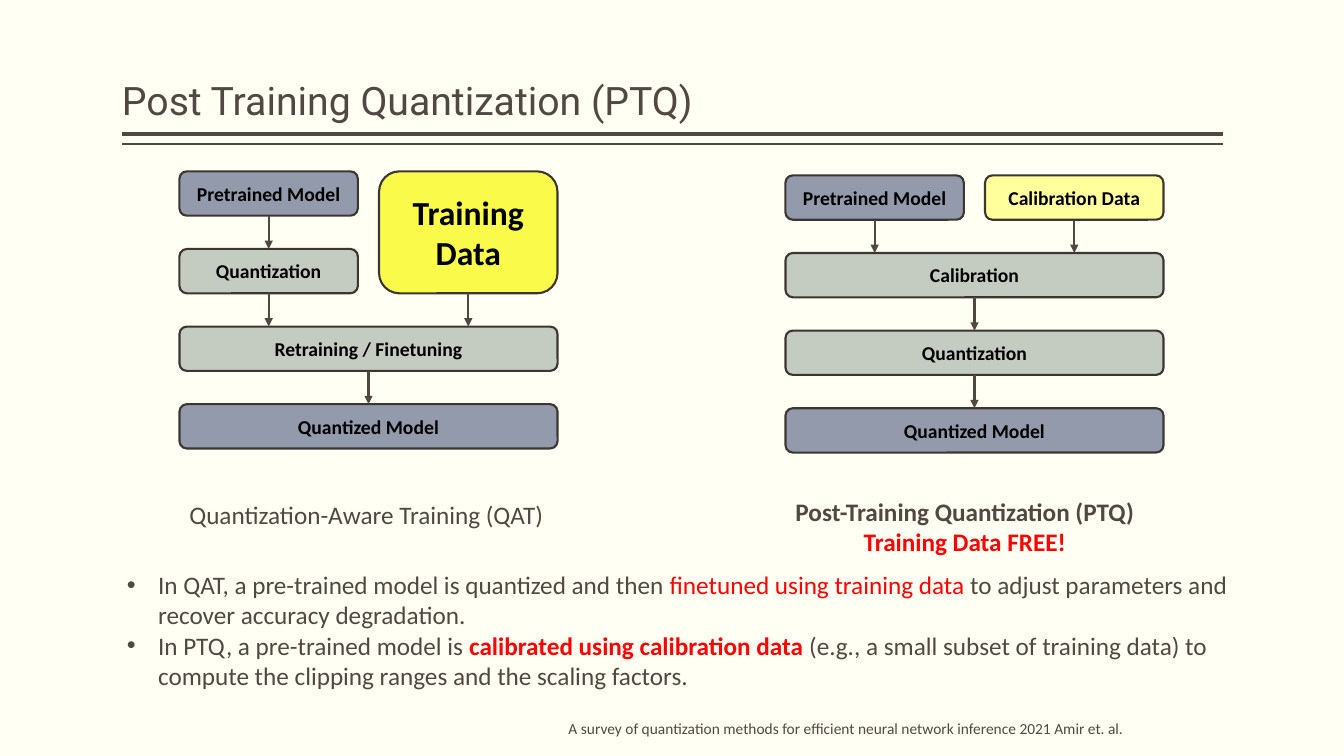
import pptx
import pptx.dml.color
import pptx.enum.shapes
import pptx.enum.text
import pptx.oxml
import pptx.oxml.ns
import pptx.util
from lxml import etree

Inches = pptx.util.Inches
Pt = pptx.util.Pt
RGBColor = pptx.dml.color.RGBColor
Align = pptx.enum.text.PP_ALIGN
Anchor = pptx.enum.text.MSO_ANCHOR
qn = pptx.oxml.ns.qn

CREAM = RGBColor(0xFF, 0xFF, 0xF3)
BROWN = RGBColor(0x51, 0x48, 0x43)
EDGE = RGBColor(0x3C, 0x35, 0x32)
BLACK = RGBColor(0, 0, 0)
RED = RGBColor(0xFF, 0, 0)
SLATE = RGBColor(0x92, 0x9A, 0xAB)
SAGE = RGBColor(0xC4, 0xCC, 0xC1)
YELLOW = RGBColor(0xF9, 0xF9, 0x00)
PALE = RGBColor(0xFF, 0xFF, 0x76)

HALF, FULL, SHIFT = 1.77, 3.75, 1.98
TALL, PITCH = 0.44, 0.77


def style(font, size, color, bold=False, name="Calibri"):
    """Set the look of a font."""
    font.name = name
    font.size = Pt(size)
    font.bold = bold
    font.color.rgb = color


def add_text(slide, at, lines, size, bold=False, align=Align.LEFT):
    """Add a wrapped text box of (text, color) lines and return its frame."""
    frame = slide.shapes.add_textbox(*map(Inches, at)).text_frame
    frame.word_wrap = True
    for i, (text, color) in enumerate(lines):
        para = frame.add_paragraph() if i else frame.paragraphs[0]
        para.text = text
        para.alignment = align
        style(para.font, size, color, bold)
    return frame


def add_title(slide, text):
    """Add the title at the foot of its box."""
    frame = add_text(slide, (1.21, 0.08, 10.92, 1.2), [(text, BROWN)], 28)
    frame.vertical_anchor = Anchor.BOTTOM
    frame.margin_left = frame.margin_right = 0
    frame.paragraphs[0].line_spacing = 0.9
    frame.paragraphs[0].font.name = "Roboto"


def add_points(slide, at, points):
    """Add bullets, each made of (text, color, bold) runs."""
    frame = slide.shapes.add_textbox(*map(Inches, at)).text_frame
    frame.word_wrap = True
    for i, runs in enumerate(points):
        para = frame.add_paragraph() if i else frame.paragraphs[0]
        props = para._p.get_or_add_pPr()
        props.set("marL", str(Inches(0.31)))
        props.set("indent", str(-Inches(0.31)))
        face = etree.SubElement(props, qn("a:buFont"))
        face.set("typeface", "Arial")
        etree.SubElement(props, qn("a:buChar")).set("char", "•")
        para.font.name = "Calibri"
        para.font.size = Pt(18)
        for text, color, bold in runs:
            run = para.add_run()
            run.text = text
            run.font.color.rgb = color
            run.font.bold = bold


def add_line(slide, ends, width):
    """Add a straight line without shadow."""
    kind = pptx.enum.shapes.MSO_CONNECTOR.STRAIGHT
    line = slide.shapes.add_connector(kind, *map(Inches, ends))
    line.line.color.rgb = BROWN
    line.line.width = Pt(width)
    etree.SubElement(line._element.spPr, qn("a:effectLst"))
    return line


def add_box(slide, at, text, fill, size=14, alpha=None):
    """Add a labelled rounded box."""
    kind = pptx.enum.shapes.MSO_SHAPE.ROUNDED_RECTANGLE
    box = slide.shapes.add_shape(kind, *map(Inches, at))
    box.shadow.inherit = False
    box.fill.solid()
    box.fill.fore_color.rgb = fill
    if alpha:
        shade = box._element.spPr.find(qn("a:solidFill"))[0]
        etree.SubElement(shade, qn("a:alpha")).set("val", str(alpha * 1000))
    box.line.color.rgb = EDGE
    box.line.width = Pt(1.5)
    frame = box.text_frame
    frame.word_wrap = True
    frame.vertical_anchor = Anchor.MIDDLE
    para = frame.paragraphs[0]
    para.text = text
    para.alignment = Align.CENTER
    style(para.font, size, BLACK, True)
    return box


def add_arrow(slide, top, low):
    """Draw an arrow straight down from one box to the next."""
    mid = top.left + top.width // 2
    ends = (mid, top.top + top.height, mid, low.top)
    arrow = add_line(slide, [end / Inches(1) for end in ends], 1.5)
    arrow.begin_connect(top, 2)
    if abs(low.left + low.width // 2 - mid) < Inches(0.02):
        arrow.end_connect(low, 0)
    line = arrow.line._get_or_add_ln()
    etree.SubElement(line, qn("a:tailEnd")).set("type", "triangle")


def add_flow(slide, left, top, nodes, links):
    """Place boxes on a grid of rows and join them by arrows."""
    boxes = []
    for text, fill, row, col, wide, span, size, alpha in nodes:
        at = (left + col * SHIFT, top + row * PITCH,
              wide, TALL + (span - 1) * PITCH)
        boxes.append(add_box(slide, at, text, fill, size, alpha))
    for start, stop in links:
        add_arrow(slide, boxes[start], boxes[stop])


def main():
    """Build the slide and save it."""
    deck = pptx.Presentation()
    deck.slide_width = Inches(13.33)
    deck.slide_height = Inches(7.5)
    slide = deck.slides.add_slide(deck.slide_layouts[6])
    slide.background.fill.solid()
    slide.background.fill.fore_color.rgb = CREAM

    for y, width in ((1.33, 3), (1.43, 1)):
        add_line(slide, (1.21, y, 12.13, y), width)
    add_title(slide, "Post Training Quantization (PTQ)")

    add_flow(slide, 1.78, 1.7, [
        ("Pretrained Model", SLATE, 0, 0, HALF, 1, 14, None),
        ("Quantization", SAGE, 1, 0, HALF, 1, 14, None),
        ("Training Data", YELLOW, 0, 1, HALF, 2, 24, 69),
        ("Retraining / Finetuning", SAGE, 2, 0, FULL, 1, 14, None),
        ("Quantized Model", SLATE, 3, 0, FULL, 1, 14, None),
    ], [(0, 1), (1, 3), (2, 3), (3, 4)])
    add_flow(slide, 7.79, 1.74, [
        ("Pretrained Model", SLATE, 0, 0, HALF, 1, 14, None),
        ("Calibration Data", PALE, 0, 1, HALF, 1, 14, 69),
        ("Calibration", SAGE, 1, 0, FULL, 1, 14, None),
        ("Quantization", SAGE, 2, 0, FULL, 1, 14, None),
        ("Quantized Model", SLATE, 3, 0, FULL, 1, 14, None),
    ], [(0, 2), (1, 2), (2, 3), (3, 4)])

    add_text(slide, (1.78, 4.9, 4.26, 0.4),
             [("Quantization-Aware Training (QAT)", BROWN)], 18)
    add_text(slide, (7.44, 4.87, 4.26, 0.71),
             [("Post-Training Quantization (PTQ)", BROWN),
              ("Training Data FREE!", RED)], 18, True, Align.CENTER)
    add_points(slide, (1.16, 5.6, 11.18, 1.31), [
        [("In QAT, a pre-trained model is quantized and then ", BROWN, False),
         ("finetuned using training data ", RED, False),
         ("to adjust parameters and recover accuracy degradation.",
          BROWN, False)],
        [("In PTQ, a pre-trained model is ", BROWN, False),
         ("calibrated using calibration data ", RED, True),
         ("(e.g., a small subset of training data) to compute the "
          "clipping ranges and the scaling factors.", BROWN, False)],
    ])
    add_text(slide, (5.54, 7.08, 7.7, 0.29),
             [("A survey of quantization methods for efficient neural "
               "network inference 2021 Amir et. al.", BROWN)], 11)
    deck.save("out.pptx")


if __name__ == "__main__":
    main()
